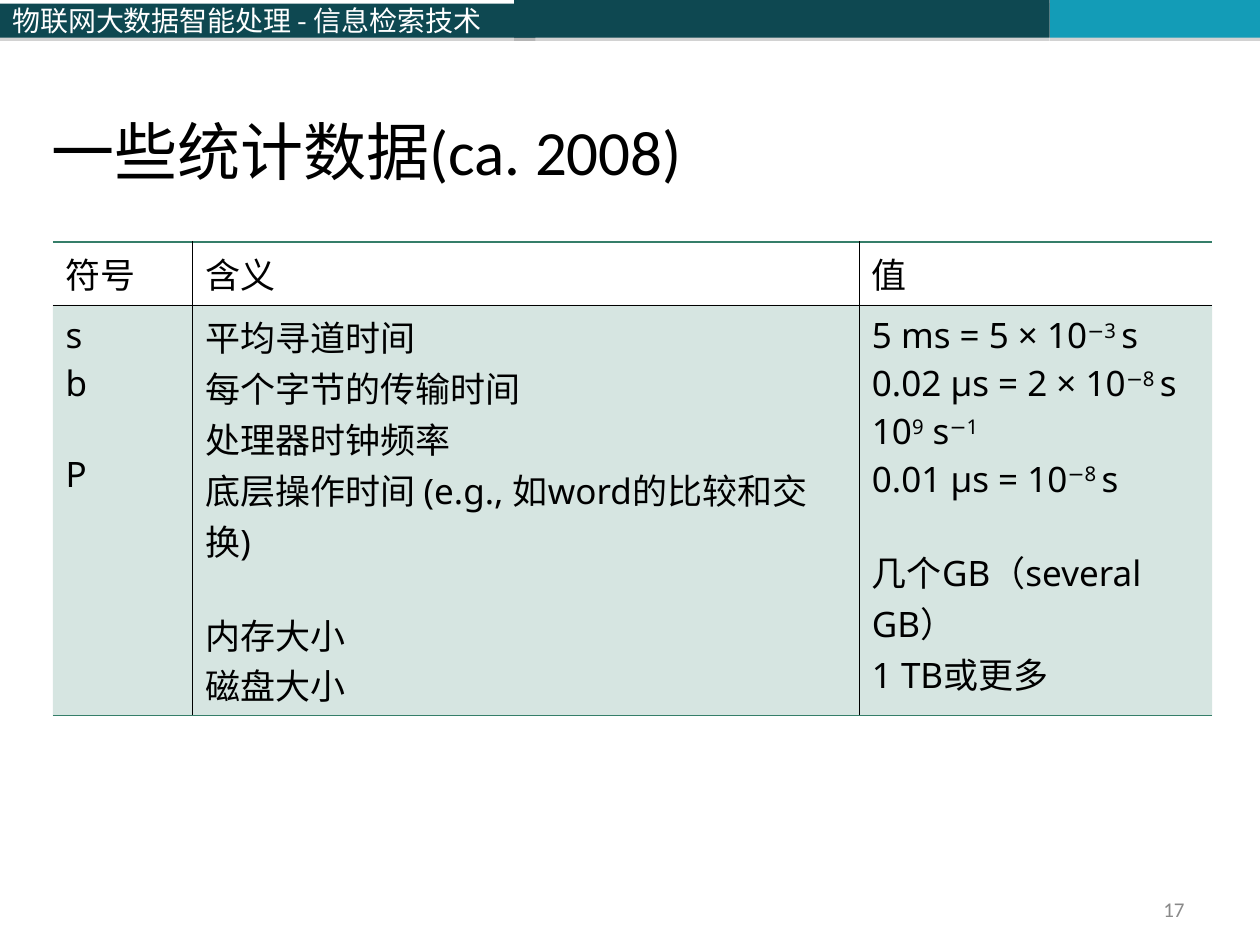
from typing import NamedTuple

from lxml import etree
from pptx import Presentation
from pptx import util as u
from pptx.dml.color import RGBColor
from pptx.enum import shapes, text
from pptx.oxml import parse_xml
from pptx.oxml.ns import nsdecls, qn

DARK = RGBColor(0x0E, 0x48, 0x51)
BLUE = RGBColor(0x13, 0x9C, 0xB7)
GREEN = RGBColor(0x35, 0x7E, 0x69)
GREY = RGBColor(0x89, 0x89, 0x89)
BLACK = RGBColor(0, 0, 0)
WHITE = RGBColor(255, 255, 255)
HAN = "Noto Sans CJK SC"
WIDE, HIGH = 10, 7.5
GAP = 24.5


class Bar(NamedTuple):
    left: float
    top: float
    width: float
    color: RGBColor
    label: str = ""


class Line(NamedTuple):
    runs: tuple[str, ...]
    gap: float = 0


class Edge(NamedTuple):
    side: str
    color: RGBColor
    width: float


BARS = [
    Bar(0, 0.03, 4.25, DARK, "物联网大数据智能处理 - 信息检索技术"),
    Bar(4.08, 0, 4.25, DARK),
    Bar(WIDE * 5 / 6, 0, WIDE / 6, BLUE),
]
COLS = [1.11, 5.29, 2.8]
ROWS = [0.5, 3.26]
CELLS = [
    [[Line(("符号",))], [Line(("含义",))], [Line(("值",))]],
    [
        [Line(("s",)), Line(("b",)), Line(("P",), GAP)],
        [
            Line(("平均寻道时间",)),
            Line(("每个字节的传输时间",)),
            Line(("处理器时钟频率",)),
            Line(("底层操作时间 (e.g., 如word的比较和交换)",)),
            Line(("内存大小",), GAP),
            Line(("磁盘大小",)),
        ],
        [
            Line(("5 ms = 5 × 10", "−3 ", "s")),
            Line(("0.02 μs = 2 × 10", "−8 ", "s")),
            Line(("10", "9", " s", "−1")),
            Line(("0.01 μs = 10", "−8 ", "s")),
            Line(("几个GB（several GB）",), GAP),
            Line(("1 TB或更多",)),
        ],
    ],
]


def add_run(para, words: str, size: float, face: str, color: RGBColor, raised: bool = False) -> None:
    run = para.add_run()
    run.text = words
    font = run.font
    font.size, font.name, font.bold = u.Pt(size), face, False
    font.color.rgb = color
    props = run._r.get_or_add_rPr()
    etree.SubElement(props, qn("a:ea")).set("typeface", HAN)
    if raised:
        props.set("baseline", "30000")


def place(shape, left: float, top: float, width: float, height: float) -> None:
    shape.left, shape.top = u.Inches(left), u.Inches(top)
    shape.width, shape.height = u.Inches(width), u.Inches(height)


def draw_bar(slide, bar: Bar) -> None:
    box = [u.Inches(n) for n in (bar.left, bar.top, bar.width, 0.3 - bar.top)]
    shape = slide.shapes.add_shape(shapes.MSO_SHAPE.RECTANGLE, *box)
    shape.shadow.inherit = False
    shape.fill.solid()
    shape.fill.fore_color.rgb = bar.color
    shape.line.fill.background()
    shade = parse_xml(
        f'<a:outerShdw {nsdecls("a")} blurRad="0" dist="{u.Pt(1.8)}" dir="5400000" rotWithShape="0">'
        '<a:srgbClr val="808080"><a:alpha val="35000"/></a:srgbClr></a:outerShdw>'
    )
    shape._element.spPr.find(qn("a:effectLst")).append(shade)
    if bar.label:
        frame = shape.text_frame
        frame.vertical_anchor = text.MSO_ANCHOR.MIDDLE
        para = frame.paragraphs[0]
        para.alignment = text.PP_ALIGN.LEFT
        add_run(para, bar.label, 16, HAN, WHITE)


def draw_title(slide, words: str) -> None:
    title = slide.shapes.title
    place(title, 0.31, 0.01, 9.45, 1.53)
    frame = title.text_frame
    frame.auto_size = text.MSO_AUTO_SIZE.NONE
    frame.vertical_anchor = text.MSO_ANCHOR.BOTTOM
    para = frame.paragraphs[0]
    para.alignment = text.PP_ALIGN.LEFT
    add_run(para, words, 36, "Calibri", BLACK)


def draw_page(slide, words: str) -> None:
    box = slide.shapes.add_textbox(0, 0, 0, 0)
    place(box, 7.17, 7.08, 2.33, 0.27)
    frame = box.text_frame
    frame.word_wrap = True
    frame.vertical_anchor = text.MSO_ANCHOR.MIDDLE
    para = frame.paragraphs[0]
    para.alignment = text.PP_ALIGN.RIGHT
    add_run(para, words, 12, "Calibri", GREY)


def set_edge(cell, edge: Edge) -> None:
    props = cell._tc.get_or_add_tcPr()
    line = etree.SubElement(props, qn(f"a:ln{edge.side}"))
    line.set("w", str(u.Pt(edge.width)))
    if edge.width:
        fill = etree.SubElement(line, qn("a:solidFill"))
        etree.SubElement(fill, qn("a:srgbClr")).set("val", str(edge.color))
    else:
        etree.SubElement(line, qn("a:noFill"))


def fill_cell(cell, lines: list[Line], row: int, col: int) -> None:
    inner = 0.5
    set_edge(cell, Edge("L", BLACK, inner if col else 0))
    set_edge(cell, Edge("R", BLACK, inner if col < len(COLS) - 1 else 0))
    set_edge(cell, Edge("T", BLACK, inner) if row else Edge("T", GREEN, 1))
    set_edge(cell, Edge("B", GREEN, 1) if row else Edge("B", BLACK, inner))
    if row:
        cell.fill.solid()
        cell.fill.fore_color.rgb = GREEN
        tint = cell._tc.tcPr.find(qn("a:solidFill")).find(qn("a:srgbClr"))
        etree.SubElement(tint, qn("a:alpha")).set("val", "20000")
    else:
        cell.fill.background()
    frame = cell.text_frame
    for spot, line in enumerate(lines):
        para = frame.add_paragraph() if spot else frame.paragraphs[0]
        if line.gap:
            para.space_before = u.Pt(line.gap)
        for turn, words in enumerate(line.runs):
            add_run(para, words, 20, "Noto Sans", BLACK, turn % 2 == 1)


def draw_table(slide) -> None:
    box = [u.Inches(n) for n in (0.42, 1.92, sum(COLS), sum(ROWS))]
    table = slide.shapes.add_table(len(ROWS), len(COLS), *box).table
    table.first_row = table.horz_banding = False
    for col, width in enumerate(COLS):
        table.columns[col].width = u.Inches(width)
    for row, height in enumerate(ROWS):
        table.rows[row].height = u.Inches(height)
        for col, lines in enumerate(CELLS[row]):
            fill_cell(table.cell(row, col), lines, row, col)


def main() -> None:
    deck = Presentation()
    deck.slide_width, deck.slide_height = u.Inches(WIDE), u.Inches(HIGH)
    slide = deck.slides.add_slide(deck.slide_layouts[5])
    for bar in BARS:
        draw_bar(slide, bar)
    draw_title(slide, "一些统计数据(ca. 2008)")
    draw_page(slide, "17")
    draw_table(slide)
    deck.save("out.pptx")


if __name__ == "__main__":
    main()
